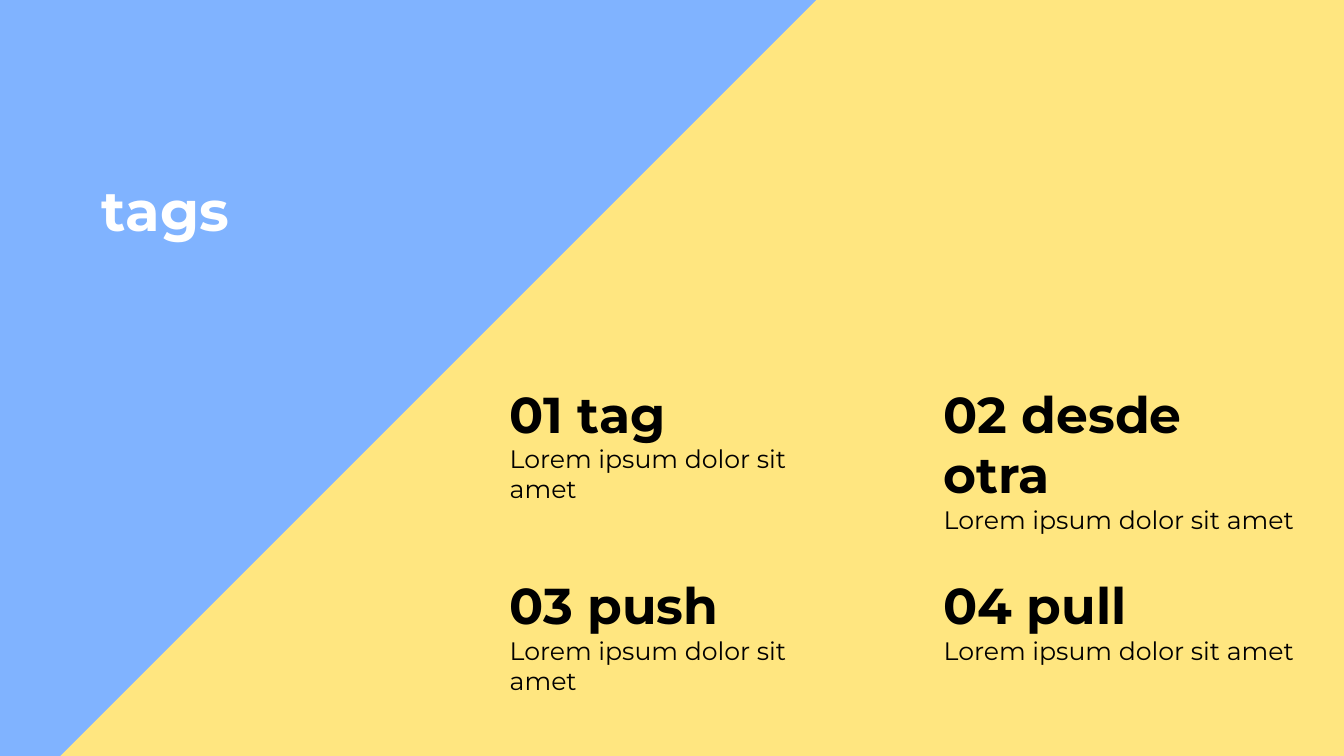
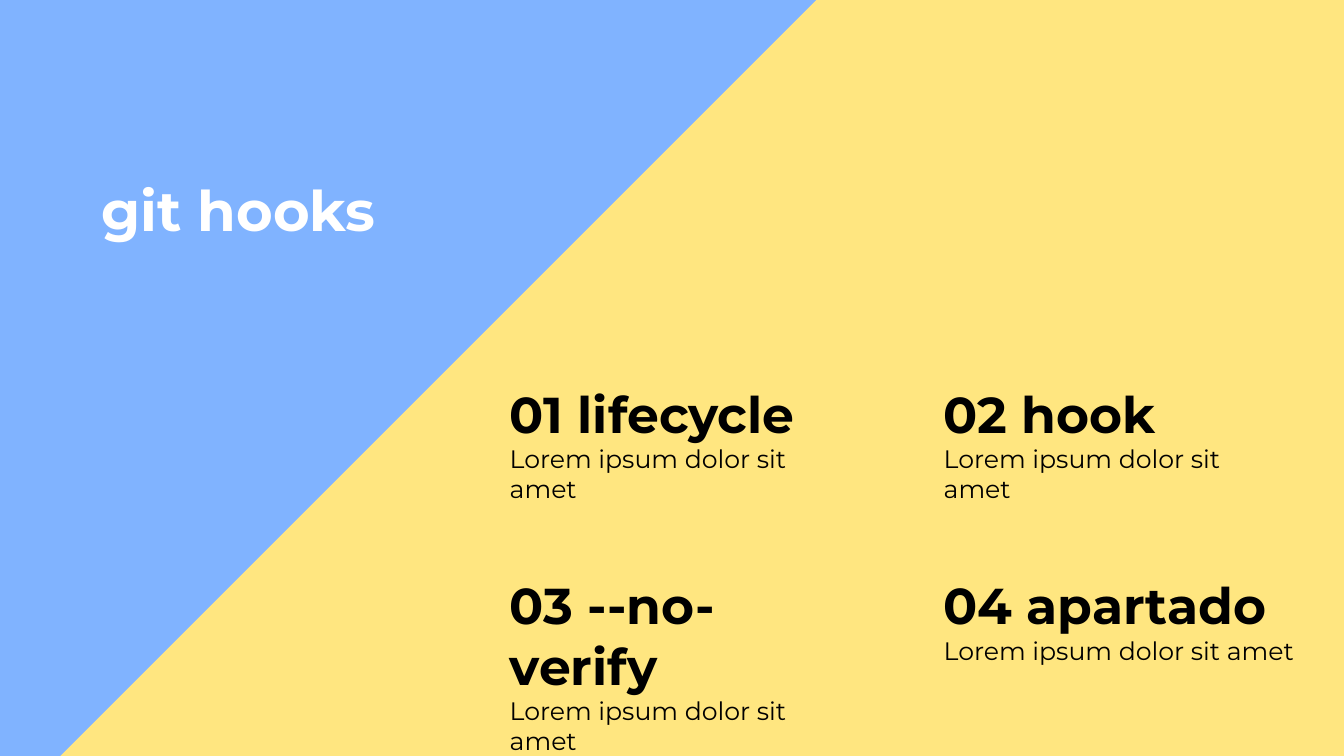
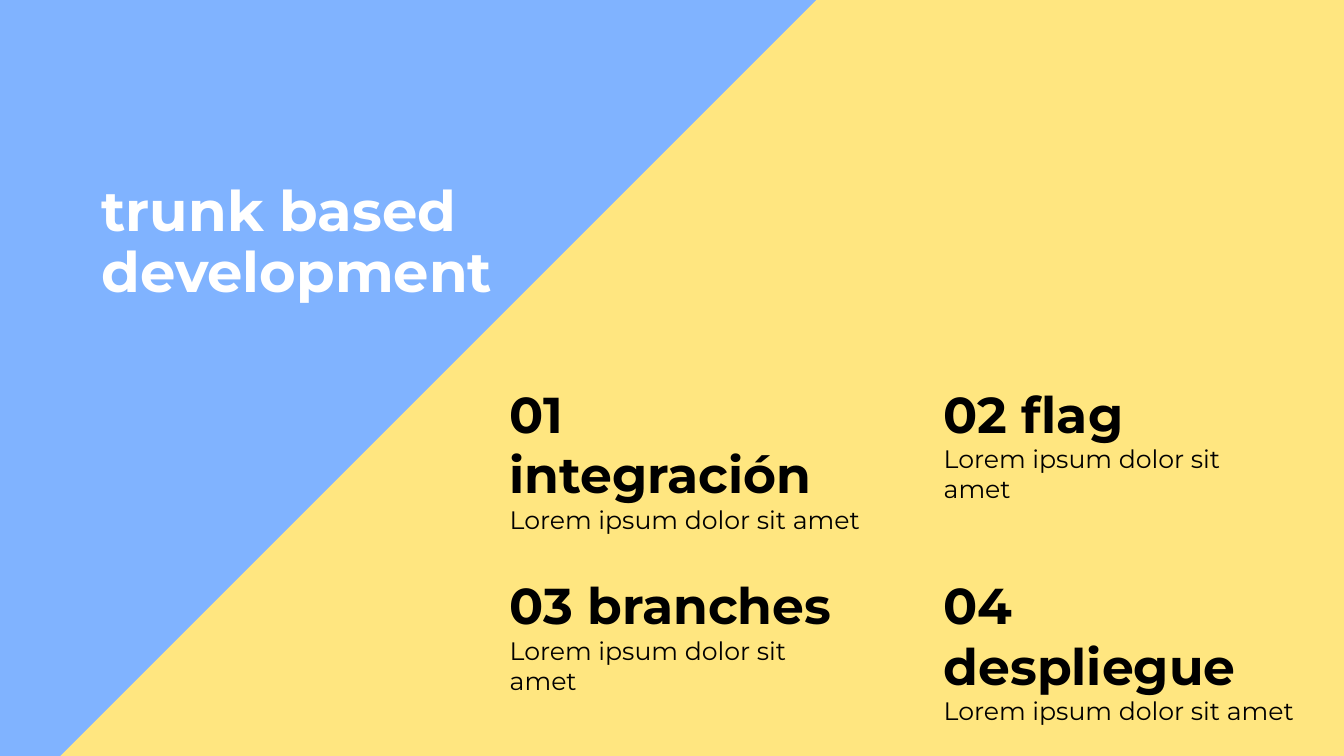
import pptx
import pptx.dml.color
import pptx.enum.shapes
import pptx.enum.text
import pptx.util

Pt = pptx.util.Pt
RGBColor = pptx.dml.color.RGBColor

BLUE = RGBColor(0x80, 0xB3, 0xFF)
YELLOW = RGBColor(0xFF, 0xE6, 0x80)
WHITE = RGBColor(0xFF, 0xFF, 0xFF)
BLACK = RGBColor(0, 0, 0)
FONT = "Montserrat"

SLIDE_WIDTH, SLIDE_HEIGHT = 960, 540
GRID_LEFT, GRID_TOP = 357, 270
COLUMN_STEP, ROW_STEP = 310, 136.8
TOPIC_WIDTH, TOPIC_HEIGHT = 264.24, 72.72
SUMMARY = "Lorem ipsum dolor sit amet"

SECTIONS = [
    ("tags", [("tag", TOPIC_WIDTH), ("desde otra", 268.56),
              ("push", TOPIC_WIDTH), ("pull", 269.28)]),
    ("git hooks", [("lifecycle", TOPIC_WIDTH), ("hook", TOPIC_WIDTH),
                   ("--no-verify", TOPIC_WIDTH), ("apartado", 269.28)]),
    ("trunk based development", [("integración", 276.48), ("flag", TOPIC_WIDTH),
                                 ("branches", TOPIC_WIDTH), ("despliegue", 275.76)]),
]


def add_band(slide, left, top, width, height, color, rotation=0):
    band = slide.shapes.add_shape(
        pptx.enum.shapes.MSO_SHAPE.RECTANGLE, Pt(left), Pt(top), Pt(width), Pt(height))
    band.shadow.inherit = False
    band.fill.solid()
    band.fill.fore_color.rgb = color
    band.line.fill.background()
    band.rotation = rotation


def add_run(paragraph, text, size, color, bold):
    run = paragraph.add_run()
    run.text = text
    run.font.name = FONT
    run.font.size = Pt(size)
    run.font.bold = bold
    run.font.color.rgb = color


def add_title(slide, title):
    frame = slide.shapes.add_textbox(Pt(65.5), Pt(127.5), Pt(308), Pt(225)).text_frame
    frame.word_wrap = True
    heading = frame.paragraphs[0]
    heading.line_spacing = 0.9
    add_run(heading, title, 40, WHITE, True)


def add_topic(slide, index, name, width):
    row, column = divmod(index, 2)
    frame = slide.shapes.add_textbox(
        Pt(GRID_LEFT + column * COLUMN_STEP), Pt(GRID_TOP + row * ROW_STEP),
        Pt(width), Pt(TOPIC_HEIGHT)).text_frame
    frame.word_wrap = False
    frame.auto_size = pptx.enum.text.MSO_AUTO_SIZE.SHAPE_TO_FIT_TEXT
    add_run(frame.paragraphs[0], f"{index + 1:02d} {name}", 36, BLACK, True)
    add_run(frame.add_paragraph(), SUMMARY, 18, BLACK, False)


def add_section(deck, title, topics):
    slide = deck.slides.add_slide(deck.slide_layouts[6])
    add_band(slide, 0, 0, SLIDE_WIDTH, SLIDE_HEIGHT, BLUE)
    add_title(slide, title)
    add_band(slide, 303, -106, 679, 1053.5, YELLOW, 45)
    for index, (name, width) in enumerate(topics):
        add_topic(slide, index, name, width)


def main():
    deck = pptx.Presentation()
    deck.slide_width, deck.slide_height = Pt(SLIDE_WIDTH), Pt(SLIDE_HEIGHT)
    for title, topics in SECTIONS:
        add_section(deck, title, topics)
    deck.save("out.pptx")


if __name__ == "__main__":
    main()
